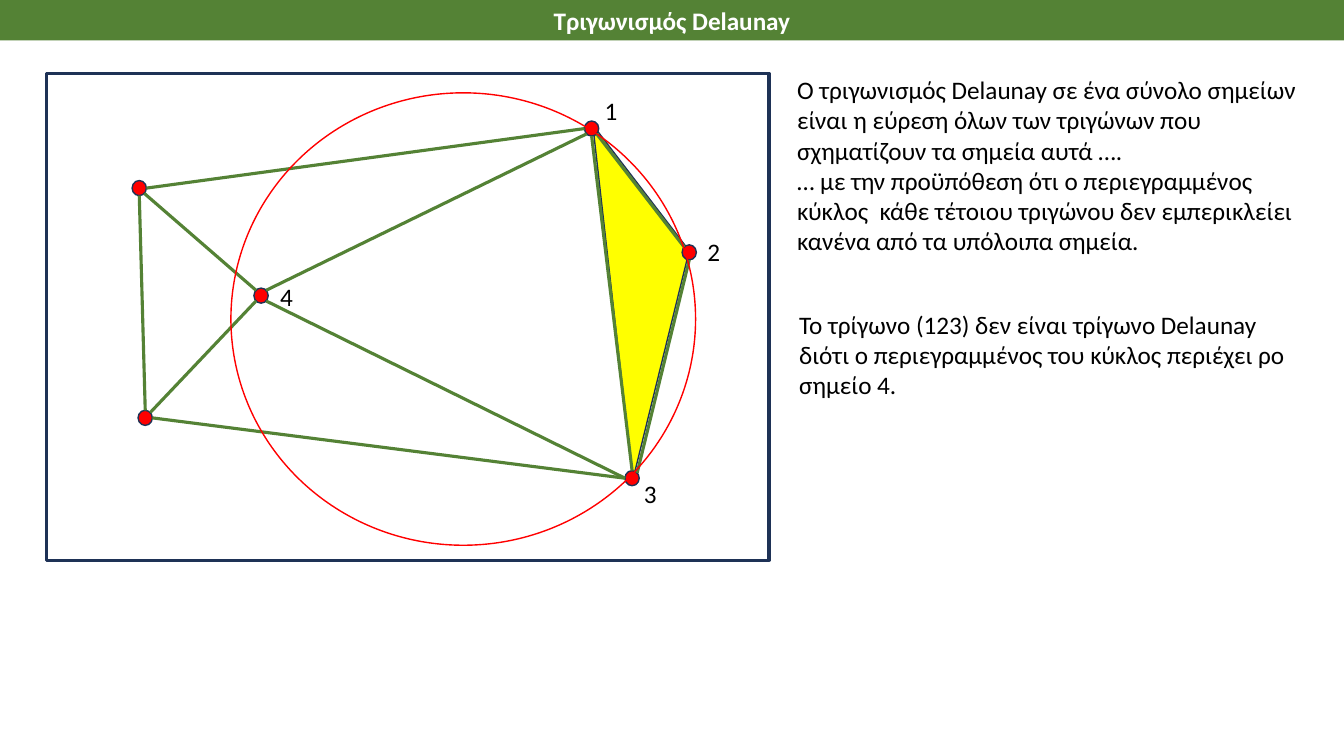
from math import sqrt

from lxml import etree
from pptx import Presentation
from pptx.dml.color import RGBColor
from pptx.enum.shapes import MSO_CONNECTOR, MSO_SHAPE
from pptx.enum.text import MSO_ANCHOR, MSO_AUTO_SIZE, PP_ALIGN
from pptx.oxml.ns import qn
from pptx.util import Cm, Pt

RECTANGLE, OVAL = MSO_SHAPE.RECTANGLE, MSO_SHAPE.OVAL
STRAIGHT = MSO_CONNECTOR.STRAIGHT
CENTER, MIDDLE = PP_ALIGN.CENTER, MSO_ANCHOR.MIDDLE
FIXED, GROW = MSO_AUTO_SIZE.NONE, MSO_AUTO_SIZE.SHAPE_TO_FIT_TEXT

FONT = "Calibri"
COLORS = {
    "green": "548235",
    "navy": "1E3256",
    "red": "FF0000",
    "yellow": "FFFF00",
    "white": "FFFFFF",
    "black": "000000",
}

# All lengths are in centimetres.
SLIDE_WIDTH, SLIDE_HEIGHT = 33.87, 19.05
LINE_HEIGHT = 1.02
DOT_WIDTH, DOT_HEIGHT = 0.36, 0.38

POINTS = {
    "A": (3.51, 4.74),
    "B": (3.66, 10.53),
    "4": (6.58, 7.45),
    "1": (14.91, 3.24),
    "2": (17.37, 6.36),
    "3": (15.93, 12.05),
}
DIAGONAL = 1 / sqrt(2)
COMPASS = {
    "N": (0, -1), "S": (0, 1), "W": (-1, 0), "E": (1, 0),
    "NW": (-DIAGONAL, -DIAGONAL), "NE": (DIAGONAL, -DIAGONAL),
    "SW": (-DIAGONAL, DIAGONAL), "SE": (DIAGONAL, DIAGONAL),
}
# Each end is a point and the side of its dot where the edge starts.
EDGES = [
    (("A", "S"), ("B", "N")),
    (("A", "SE"), ("4", "NW")),
    (("4", "SW"), ("B", "NE")),
    (("1", "SW"), ("4", "NE")),
    (("1", "S"), ("3", "N")),
    (("1", "SE"), ("2", "NW")),
    (("A", "E"), ("1", "W")),
    (("3", "W"), ("B", "E")),
    (("4", "SE"), ("3", "W")),
    (("2", "S"), ("3", "NE")),
]
TRIANGLE = [(14.94, 3.15), (15.95, 12.09), (17.37, 6.32)]
LABELS = {"1": (14.99, 2.29), "2": (17.58, 5.84), "3": (15.98, 11.94), "4": (6.81, 6.96)}
EXPLANATIONS = [
    (19.84, 1.75, "Ο τριγωνισμός Delaunay σε ένα σύνολο σημείων είναι η εύρεση "
                  "όλων των τριγώνων που σχηματίζουν τα σημεία αυτά …."),
    (19.84, 4.04, "… με την προϋπόθεση ότι ο περιεγραμμένος κύκλος  κάθε τέτοιου "
                  "τριγώνου δεν εμπερικλείει κανένα από τα υπόλοιπα σημεία."),
    (19.89, 7.67, "Το τρίγωνο (123) δεν είναι τρίγωνο Delaunay διότι ο "
                  "περιεγραμμένος του κύκλος περιέχει ρο σημείο 4."),
]


def rgb(color):
    return RGBColor.from_string(COLORS[color])


def paint(target, fill):
    if fill:
        target.fill.solid()
        target.fill.fore_color.rgb = rgb(fill)
    else:
        target.fill.background()


def stroke(target, color, width):
    target.line.color.rgb = rgb(color)
    target.line.width = Pt(width)


def write(frame, text, color="black", bold=False):
    run = frame.paragraphs[0].add_run()
    run.text = text
    run.font.name, run.font.size, run.font.bold = FONT, Pt(18), bold
    run.font.color.rgb = rgb(color)


def add_title(slide, text):
    title = slide.shapes.title
    title.left, title.top = Cm(0), Cm(0)
    title.width, title.height = Cm(SLIDE_WIDTH), Cm(LINE_HEIGHT)
    paint(title, "green")
    frame = title.text_frame
    frame.auto_size, frame.vertical_anchor = FIXED, MIDDLE
    frame.paragraphs[0].alignment = CENTER
    write(frame, text, "white", bold=True)


def add_outline(slide, kind, left, top, width, height, line, line_width, fill=None):
    outline = slide.shapes.add_shape(kind, Cm(left), Cm(top), Cm(width), Cm(height))
    outline.shadow.inherit = False
    paint(outline, fill)
    stroke(outline, line, line_width)


def add_triangle(slide, corners):
    first, *others = [(Cm(x), Cm(y)) for x, y in corners]
    builder = slide.shapes.build_freeform(*first)
    builder.add_line_segments(others, close=True)
    triangle = builder.convert_to_shape()
    triangle.shadow.inherit = False
    paint(triangle, "yellow")
    stroke(triangle, "navy", 1)


def add_dot(slide, x, y):
    add_outline(slide, OVAL, x - DOT_WIDTH / 2, y - DOT_HEIGHT / 2,
                DOT_WIDTH, DOT_HEIGHT, "navy", 1, "red")


def dot_side(point, side):
    (x, y), (dx, dy) = POINTS[point], COMPASS[side]
    return Cm(x + dx * DOT_WIDTH / 2), Cm(y + dy * DOT_HEIGHT / 2)


def add_edge(slide, start, end):
    edge = slide.shapes.add_connector(STRAIGHT, *dot_side(*start), *dot_side(*end))
    stroke(edge, "green", 2.25)
    etree.SubElement(edge._element.spPr, qn("a:effectLst"))


def add_text(slide, left, top, width, height, text, wrap=True):
    frame = slide.shapes.add_textbox(Cm(left), Cm(top), Cm(width), Cm(height)).text_frame
    frame.word_wrap, frame.auto_size = wrap, GROW
    write(frame, text)


def main():
    deck = Presentation()
    deck.slide_width, deck.slide_height = Cm(SLIDE_WIDTH), Cm(SLIDE_HEIGHT)
    slide = deck.slides.add_slide(deck.slide_layouts[5])

    add_title(slide, "Τριγωνισμός Delaunay")
    add_triangle(slide, TRIANGLE)
    add_outline(slide, RECTANGLE, 1.17, 1.85, 18.21, 12.27, "navy", 2.25)
    for x, y in POINTS.values():
        add_dot(slide, x, y)
    for start, end in EDGES:
        add_edge(slide, start, end)
    add_outline(slide, OVAL, 5.82, 2.34, 11.71, 11.4, "red", 1)
    for number, (left, top) in LABELS.items():
        add_text(slide, left, top, 0.84, LINE_HEIGHT, number, wrap=False)
    for left, top, text in EXPLANATIONS:
        add_text(slide, left, top, 13.31, 2.57, text)

    deck.save("out.pptx")


if __name__ == "__main__":
    main()
